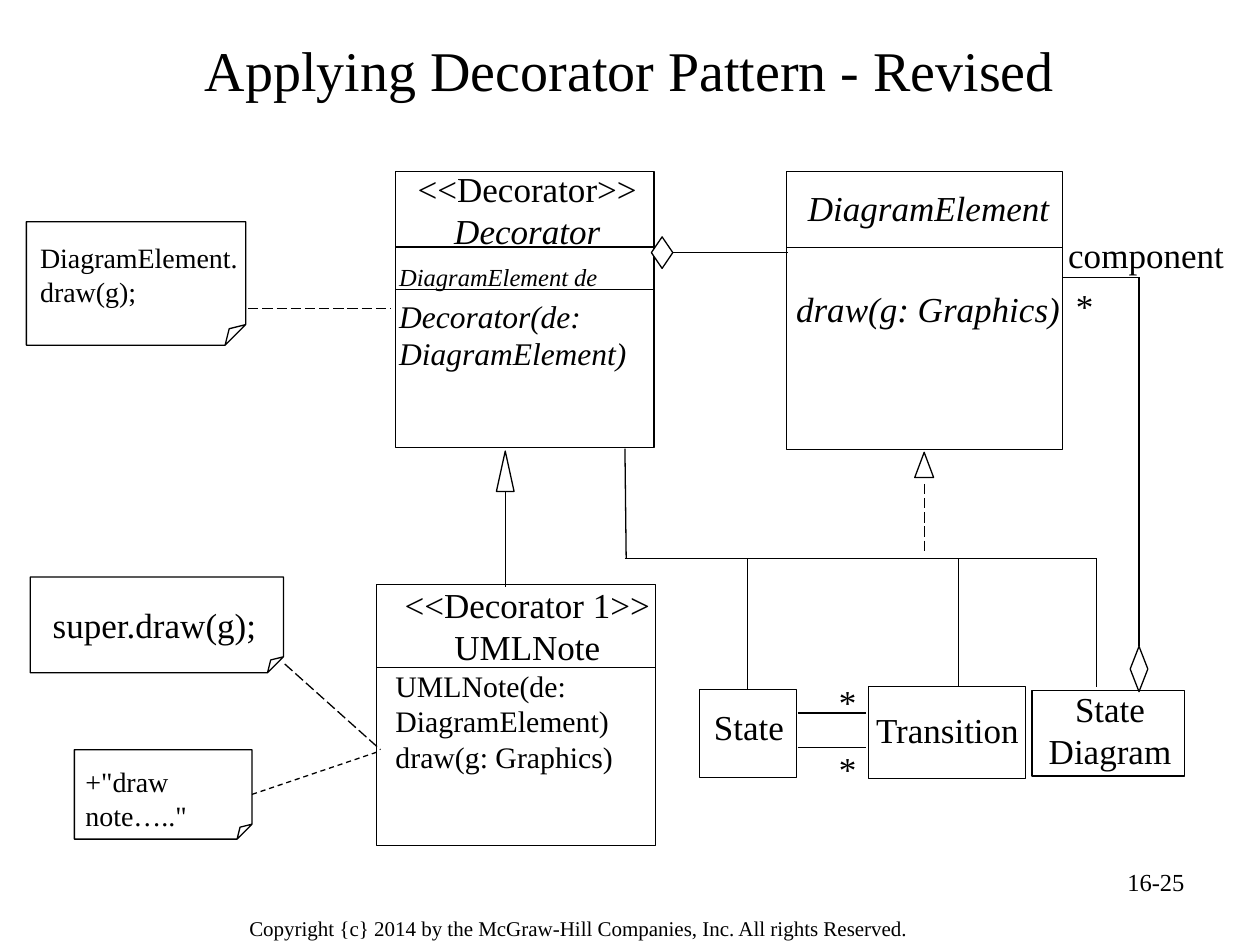
from dataclasses import dataclass

from lxml import etree
from pptx import Presentation
from pptx.dml.color import RGBColor
from pptx.enum.dml import MSO_LINE
from pptx.enum.shapes import MSO_CONNECTOR, MSO_SHAPE
from pptx.enum.text import MSO_ANCHOR, PP_ALIGN
from pptx.oxml.ns import qn
from pptx.util import Inches, Pt

LEFT, CENTER, RIGHT = PP_ALIGN.LEFT, PP_ALIGN.CENTER, PP_ALIGN.RIGHT
TOP, MIDDLE = MSO_ANCHOR.TOP, MSO_ANCHOR.MIDDLE
RECTANGLE, FOLDED = MSO_SHAPE.RECTANGLE, MSO_SHAPE.FOLDED_CORNER
TRIANGLE, DIAMOND = MSO_SHAPE.ISOSCELES_TRIANGLE, MSO_SHAPE.DIAMOND
STRAIGHT = MSO_CONNECTOR.STRAIGHT
DASH, LONG_DASH = MSO_LINE.DASH, MSO_LINE.LONG_DASH
TOP_SIDE, RIGHT_SIDE = 0, 3
COLUMNS, ROWS = 100, 75
CELL = Inches(10) / COLUMNS


@dataclass(frozen=True)
class Theme:
    """Colours, font and type sizes of the deck."""
    ink: RGBColor = RGBColor(0, 0, 0)
    paper: RGBColor = RGBColor(255, 255, 255)
    font: str = "Times New Roman"
    title: int = 32
    name: int = 20
    method: int = 18
    member: int = 17
    remark: int = 16
    small: int = 14
    footer: int = 12
    stroke: float = 0.75


THEME = Theme()


@dataclass(frozen=True)
class Box:
    """An area in grid columns and rows."""
    left: float
    top: float
    width: float
    height: float

    def area(self, left, top, width, height):
        """Return an area placed from this box's corner."""
        return Box(self.left + left, self.top + top, width, height)

    def point(self, column, row):
        """Return a point placed from this box's corner."""
        return self.left + column, self.top + row

    def lengths(self):
        """Return the four lengths in slide units."""
        return [round(n * CELL) for n in (self.left, self.top, self.width, self.height)]


def add_para(para, text, size=THEME.name, align=LEFT, italic=False, before=0, after=0):
    """Fill one paragraph with formatted text."""
    para.alignment = align
    para.space_before, para.space_after = Pt(before), Pt(after)
    span = para.add_run()
    span.text = text
    span.font.name, span.font.size, span.font.italic = THEME.font, Pt(size), italic
    span.font.color.rgb = THEME.ink


def write(page, box, *lines, anchor=TOP):
    """Add a text box with one paragraph for each text and format pair."""
    frame = page.shapes.add_textbox(*box.lengths()).text_frame
    frame.word_wrap = True
    frame.vertical_anchor = anchor
    for index, (text, style) in enumerate(lines):
        para = frame.add_paragraph() if index else frame.paragraphs[0]
        add_para(para, text, **style)


def draw(page, kind, box, filled=False):
    """Add an outlined preset shape."""
    shape = page.shapes.add_shape(kind, *box.lengths())
    shape.shadow.inherit = False
    if filled:
        shape.fill.solid()
        shape.fill.fore_color.rgb = THEME.paper
    else:
        shape.fill.background()
    shape.line.color.rgb = THEME.ink
    shape.line.width = Pt(THEME.stroke)
    return shape


def join(page, start, end, dash=None):
    """Add a straight connector between two grid points."""
    ends = [round(n * CELL) for n in (*start, *end)]
    link = page.shapes.add_connector(STRAIGHT, *ends)
    link.line.color.rgb = THEME.ink
    link.line.width = Pt(THEME.stroke)
    if dash:
        link.line.dash_style = dash
    etree.SubElement(link._element.spPr, qn("a:effectLst"))
    return link


def header(page, box, title):
    """Place the centred title."""
    write(page, box, (title, dict(size=THEME.title, align=CENTER)), anchor=MIDDLE)


def footer(page, box, copyright_line, number):
    """Place the copyright line and the page number."""
    write(page, box.area(0, 3.9, 61.9, 3.1), (copyright_line, dict(size=THEME.footer)))
    write(page, box.area(52.9, 0, 23.3, 5.2), (number, dict(size=THEME.small, align=RIGHT)))


def class_box(page, box, label, *lines, dividers=()):
    """Place a class frame, its compartment rules and its text."""
    frame = draw(page, RECTANGLE, box)
    for row in dividers:
        join(page, box.point(0, row), box.point(box.width, row))
    write(page, box.area(*label), *lines)
    return frame


def note(page, box, label, text, size=THEME.remark):
    """Place a folded note and its text."""
    frame = draw(page, FOLDED, box)
    write(page, box.area(*label), (text, dict(size=size)))
    return frame


def hierarchy(page, box, state):
    """Place the shared bar, its stem and a drop to each subclass."""
    bar = 8.7
    join(page, box.point(0, 0), box.point(0.1, bar))
    join(page, box.point(0, bar), box.point(box.width, bar))
    drops = [join(page, box.point(column, bar), box.point(column, box.height))
             for column in (9.75, 26.5, box.width)]
    drops[0].end_connect(state, TOP_SIDE)


def arrow_up(page, box, head_height, gap=0, dash=None):
    """Place a hollow triangle over a vertical line."""
    draw(page, TRIANGLE, box.area(0, 0, box.width, head_height), filled=True)
    middle = box.width / 2
    join(page, box.point(middle, head_height + gap), box.point(middle, box.height), dash)


def state_links(page, box):
    """Place the two lines between state and transition with their stars."""
    for row, star in ((0, -3.1), (box.height, 2.2)):
        join(page, box.point(0, row), box.point(box.width, row))
        write(page, box.area(2.3, star, 3.8, 5.2), ("*", {}))


def component_link(page, box):
    """Place the aggregation from the diagram back to its elements."""
    join(page, box.point(0, 0), box.point(box.width, 0))
    join(page, box.point(box.width, 0), box.point(box.width, box.height - 3.6))
    draw(page, DIAMOND, box.area(box.width - 0.7, box.height - 3.6, 1.4, 3.6), filled=True)
    write(page, box.area(-0.6, -4, 14.4, 4.8), ("component", {}))
    write(page, box.area(0, 0.1, 3.8, 7.4), ("*", {}))


def element_link(page, box):
    """Place the aggregation from decorator to element."""
    diamond = draw(page, DIAMOND, box.area(0, 0, 1.7, box.height), filled=True)
    middle = box.height / 2
    link = join(page, box.point(1.7, middle), box.point(box.width, middle))
    link.begin_connect(diamond, RIGHT_SIDE)


def build():
    """Build and save the deck."""
    deck = Presentation()
    deck.slide_width, deck.slide_height = round(COLUMNS * CELL), round(ROWS * CELL)
    page = deck.slides.add_slide(deck.slide_layouts[6])
    centred = dict(align=CENTER)

    header(page, Box(5, 1.7, 90, 7.5), "Applying Decorator Pattern - Revised")
    footer(page, Box(18.8, 68.3, 76.2, 7),
           "Copyright {c} 2014 by the McGraw-Hill Companies, Inc. All rights Reserved.", "16-25")

    class_box(page, Box(31.4, 13.6, 20.5, 21.9), (-0.7, -0.8, 22.3, 24.5),
              ("<<Decorator>>", centred),
              ("Decorator", dict(align=CENTER, italic=True, after=3)),
              ("DiagramElement de", dict(size=THEME.small, italic=True, before=3)),
              ("Decorator(de: DiagramElement)",
               dict(size=THEME.method, italic=True, before=3)),
              dividers=(6, 9.4))
    class_box(page, Box(62.4, 13.6, 21.9, 22.1), (-0.2, 0.7, 23, 24.9),
              ("DiagramElement", dict(align=CENTER, italic=True)),
              ("draw(g: Graphics)", dict(italic=True, before=34)),
              dividers=(6.05,))
    class_box(page, Box(29.9, 46.4, 22.1, 20.7), (0.5, -0.6, 22.9, 22),
              ("<<Decorator 1>>", centred), ("UMLNote", centred),
              ("UMLNote(de: DiagramElement)", dict(size=THEME.member)),
              ("draw(g: Graphics)", dict(size=THEME.member)),
              dividers=(6.6,))
    state = class_box(page, Box(55.5, 54.7, 7.7, 7), (-0.2, 0.8, 8.3, 7.8), ("State", centred))
    class_box(page, Box(68.9, 54.5, 12.5, 7.3), (-0.5, 1.2, 13.6, 7.1), ("Transition", centred))
    class_box(page, Box(81.9, 54.8, 12.1, 6.8), (-1, -0.7, 14.4, 8.3), ("State Diagram", centred))

    note(page, Box(2.1, 17.6, 17.4, 9.8), (0.1, 1, 18.2, 8.9), "DiagramElement. draw(g);")
    note(page, Box(2.4, 45.8, 20.1, 7.6), (0.8, 1.6, 20.5, 6.7), "super.draw(g);", THEME.name)
    drawing = note(page, Box(5.9, 59.5, 14.1, 7.1), (-0.1, 0.7, 15.4, 6.9), '+"draw note….."')
    join(page, (19.7, 24.5), (31, 24.5), LONG_DASH)
    join(page, (22.6, 52.7), (30.2, 59.5), LONG_DASH)
    join(page, (20, 63.05), (29.9, 59.7), DASH).begin_connect(drawing, RIGHT_SIDE)

    hierarchy(page, Box(49.6, 35.6, 37.4, 18.9), state)
    arrow_up(page, Box(39.4, 35.8, 1.4, 10.8), 3.2)
    arrow_up(page, Box(72.6, 35.9, 1.5, 7.8), 2, gap=0.5, dash=LONG_DASH)
    state_links(page, Box(63.3, 56.6, 5.4, 2.7))
    component_link(page, Box(84.4, 22, 6, 32.9))
    element_link(page, Box(51.7, 18.8, 10.8, 2.5))
    deck.save("out.pptx")


if __name__ == "__main__":
    build()
